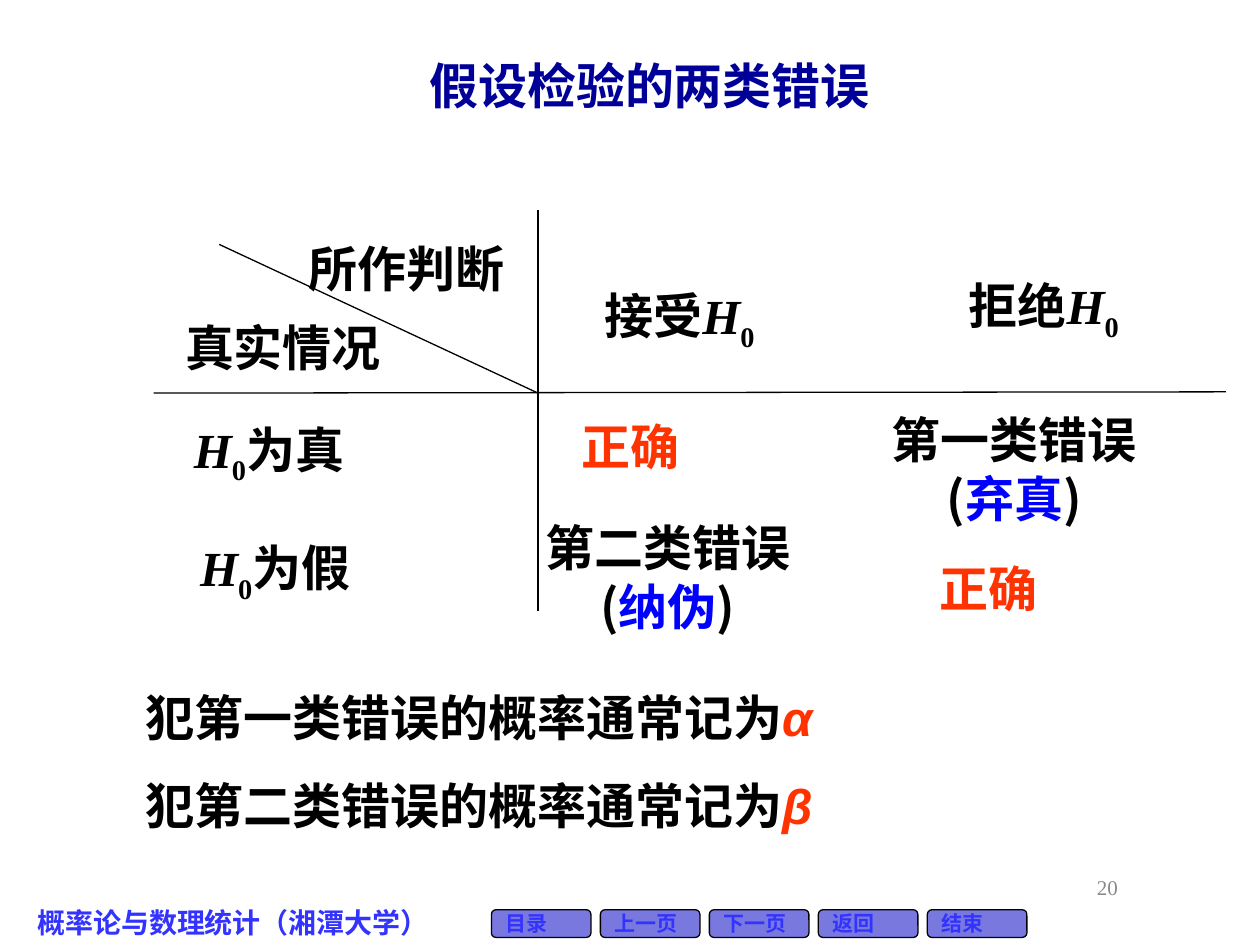
"""Build the slide on the two types of error in hypothesis testing."""
from lxml import etree
from pptx import Presentation
from pptx import util as u
from pptx.dml.color import RGBColor
from pptx.enum import shapes, text
from pptx.oxml.ns import qn

SANS, SERIF = "Noto Sans CJK SC", "Times New Roman"
BLACK, RED, BLUE, NAVY, LINK = "000000", "FF3300", "0000FF", "000099", "3333FF"
LEFT, MID, RIGHT = text.PP_ALIGN.LEFT, text.PP_ALIGN.CENTER, text.PP_ALIGN.RIGHT


def tint(color, code):
    """Set a colour from a hex string."""
    color.rgb = RGBColor.from_string(code)


def write(frame, lines, align=LEFT, wrap=True, space=None):
    """Fill a text frame with lines of (words, format) runs."""
    frame.word_wrap = wrap
    for i, line in enumerate(lines):
        par = frame.add_paragraph() if i else frame.paragraphs[0]
        par.alignment = align
        par.line_spacing = space
        for words, form in line:
            run = par.add_run()
            run.text = words
            form = {"size": u.Pt(28), "name": SANS, "bold": True, "color": BLACK, **form}
            tint(run.font.color, form.pop("color"))
            base = form.pop("base", None)
            for key, val in form.items():
                setattr(run.font, key, val)
            props = run.font._element
            if base:
                props.set("baseline", base)
            etree.SubElement(props, qn("a:ea")).set("typeface", form["name"])


deck = Presentation()
deck.slide_width, deck.slide_height = u.Inches(10), u.Inches(7.5)
slide = deck.slides.add_slide(deck.slide_layouts[6])

small = {"size": u.Pt(12), "color": LINK}
for i, name in enumerate(["目录", "上一页", "下一页", "返回", "结束"]):
    key = slide.shapes.add_shape(
        shapes.MSO_SHAPE.FLOWCHART_ALTERNATE_PROCESS,
        u.Inches(3.9 + 0.865 * i), u.Inches(7.22), u.Inches(0.79), u.Inches(0.22))
    key.shadow.inherit = False
    key.fill.solid()
    tint(key.fill.fore_color, "7878DE")
    tint(key.line.color, BLACK)
    key.line.width = u.Pt(0.75)
    key.text_frame.vertical_anchor = text.MSO_ANCHOR.MIDDLE
    write(key.text_frame, [[(name, small)]], wrap=False)

for x1, y1, x2, y2 in [(4.27, 3.12, 1.74, 1.94), (4.27, 1.67, 4.27, 4.85),
                       (1.22, 3.12, 9.73, 3.11)]:
    rule = slide.shapes.add_connector(
        shapes.MSO_CONNECTOR.STRAIGHT,
        u.Inches(x1), u.Inches(y1), u.Inches(x2), u.Inches(y2))
    tint(rule.line.color, BLACK)
    rule.line.width = u.Pt(0.75)
    etree.SubElement(rule._element.spPr, qn("a:effectLst"))

null = [("H", {"name": SERIF, "italic": True}), ("0", {"name": SERIF, "base": "-25000"})]
right = [[("正确", {"color": RED})]]
greek = {"name": "Arial", "color": RED, "italic": True}
first, second = [
    [[(f"第{rank}类错误", {})], [("(", {}), (name, {"color": BLUE}), (")", {})]]
    for rank, name in [("一", "弃真"), ("二", "纳伪")]]
odds = [[(f"犯第{rank}类错误的概率通常记为", {}), (sign, greek)]
        for rank, sign in [("一", "α"), ("二", "β")]]
mid = {"wrap": False, "align": MID}

for x, y, w, h, lines, opts in [
    (1.92, 0.39, 6.47, 0.57, [[("假设检验的两类错误", {"color": NAVY})]], {"align": MID}),
    (2.35, 1.84, 1.95, 0.57, [[("所作判断", {})]], {}),
    (1.37, 2.47, 1.85, 0.57, [[("真实情况", {})]], {}),
    (4.7, 2.22, 1.8, 0.63, [[("接受", {}), *null]], {}),
    (7.59, 2.14, 1.8, 0.63, [[("拒绝", {}), *null]], {}),
    (1.44, 3.28, 1.98, 0.63, [[*null, ("为真", {})]], {}),
    (1.49, 4.22, 2.09, 0.63, [[*null, ("为假", {})]], {}),
    (4.52, 3.26, 1.34, 0.57, right, {}),
    (7.36, 4.38, 1.29, 0.57, right, {}),
    (6.98, 3.2, 2.14, 1.04, first, mid),
    (4.23, 4.06, 2.14, 1.04, second, mid),
    (1.06, 5.17, 7.01, 1.5, odds, {"space": 1.5}),
    (0.2, 7.14, 4.06, 0.37,
     [[("概率论与数理统计（湘潭大学）", {"size": u.Pt(16), "color": LINK})]], {}),
]:
    box = slide.shapes.add_textbox(u.Inches(x), u.Inches(y), u.Inches(w), u.Inches(h))
    write(box.text_frame, lines, **opts)
    box.text_frame.auto_size = text.MSO_AUTO_SIZE.SHAPE_TO_FIT_TEXT

page = slide.shapes.add_textbox(
    u.Inches(6.89), u.Inches(6.79), u.Inches(2.08), u.Inches(0.5))
page.text_frame.vertical_anchor = text.MSO_ANCHOR.MIDDLE
grey = {"size": u.Pt(12), "name": SERIF, "bold": False, "color": "898989"}
write(page.text_frame, [[("20", grey)]], align=RIGHT)

deck.save("out.pptx")
